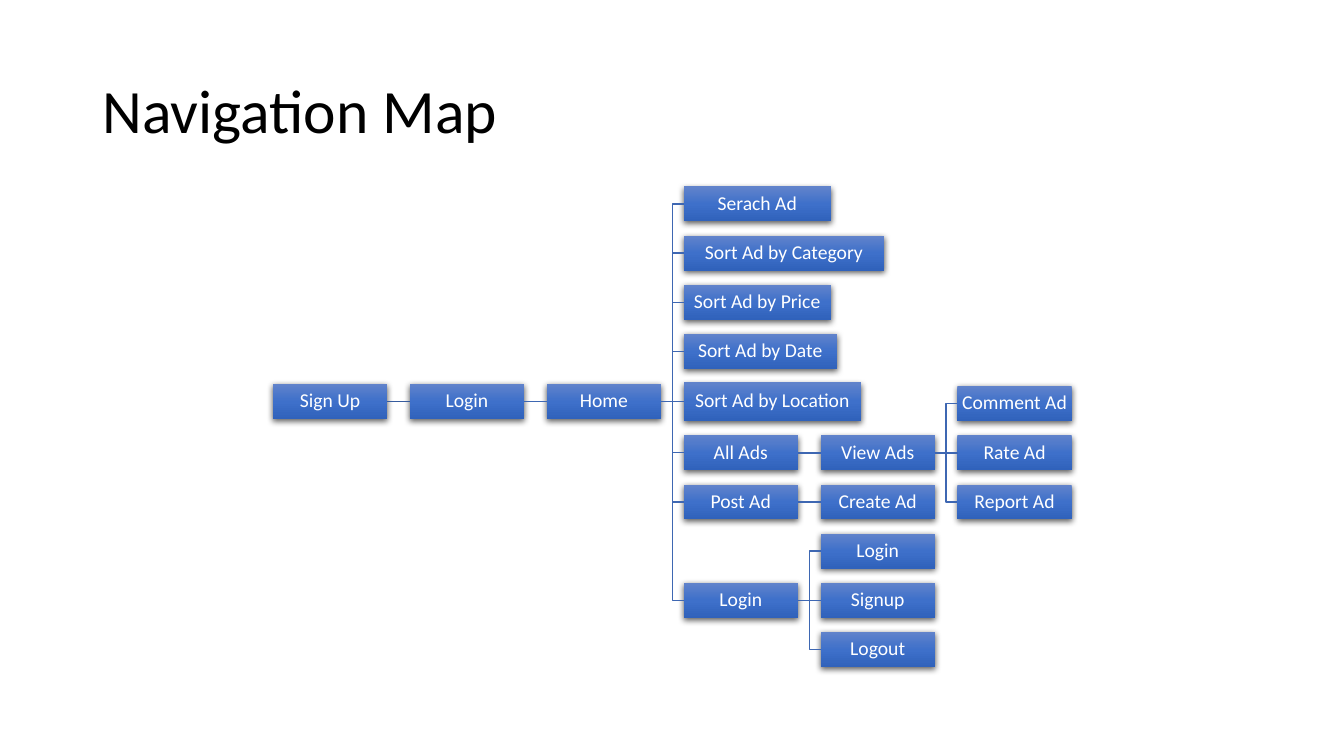
import pptx
import pptx.dml.color
import pptx.enum.shapes
import pptx.enum.text
import pptx.oxml
import pptx.oxml.ns
import pptx.util

Cm = pptx.util.Cm
Pt = pptx.util.Pt
NS = pptx.oxml.ns.nsdecls("a")

LEFT, COL_STEP, ROW_STEP = 6.88, 3.45, 1.24
BOX_W, BOX_H = 2.88, 0.88
MIDDLE = 10.12
UPPER = [5.14 + ROW_STEP * i for i in range(4)]
LOWER = [10.17 + ROW_STEP * i for i in range(6)]


def rgb(value):
    return pptx.dml.color.RGBColor.from_string(value)


def node(text, y, *children, w=BOX_W, h=BOX_H, link="3E67B2"):
    return {"text": text, "y": y, "w": w, "h": h, "link": link, "children": children}


class NavigationSlide:
    """Holds the style and the current slide, and draws titles, boxes and links."""

    FONT = "Calibri"
    STOPS = [(0, "6183CB"), (50, "3E70CA"), (100, "3062BB")]
    SHADOW = (
        f'<a:effectLst {NS}><a:outerShdw blurRad="57150" dist="19050" dir="5400000" '
        'algn="ctr" rotWithShape="0"><a:srgbClr val="000000"><a:alpha val="63000"/>'
        "</a:srgbClr></a:outerShdw></a:effectLst>"
    )

    def __init__(self, prs):
        self.s = prs.slides.add_slide(prs.slide_layouts[5])

    def set_text(self, sp, text, size, color, frame, para):
        tf = sp.text_frame
        for name, value in frame.items():
            setattr(tf, name, value)
        p = tf.paragraphs[0]
        for name, value in para.items():
            setattr(p, name, value)
        r = p.add_run()
        r.text = text
        for name, value in {"name": self.FONT, "size": Pt(size)}.items():
            setattr(r.font, name, value)
        r.font.color.rgb = rgb(color)

    def title(self, text, left, top, width, height):
        sp = self.s.shapes.title
        place = {"left": left, "top": top, "width": width, "height": height}
        for name, value in place.items():
            setattr(sp, name, Cm(value))
        self.set_text(
            sp, text, 44, "000000",
            {"vertical_anchor": pptx.enum.text.MSO_ANCHOR.MIDDLE, "word_wrap": True},
            {"alignment": pptx.enum.text.PP_ALIGN.LEFT, "line_spacing": 0.9},
        )

    def box(self, text, left, middle, width, height):
        sp = self.s.shapes.add_shape(
            pptx.enum.shapes.MSO_SHAPE.RECTANGLE,
            Cm(left), Cm(middle - height / 2), Cm(width), Cm(height),
        )
        stops = "".join(
            f'<a:gs pos="{pos * 1000}"><a:srgbClr val="{color}"/></a:gs>'
            for pos, color in self.STOPS
        )
        gradient = (
            f'<a:gradFill {NS} rotWithShape="1"><a:gsLst>{stops}</a:gsLst>'
            '<a:lin ang="5400000" scaled="0"/></a:gradFill>'
        )
        for xml in (gradient, self.SHADOW):
            sp._element.spPr.append(pptx.oxml.parse_xml(xml))
        sp.line.fill.background()
        sides = ("left", "top", "right", "bottom")
        frame = {f"margin_{side}": Cm(0.02) for side in sides}
        frame["vertical_anchor"] = pptx.enum.text.MSO_ANCHOR.MIDDLE
        frame["word_wrap"] = True
        self.set_text(
            sp, text, 14, "FFFFFF", frame,
            {
                "alignment": pptx.enum.text.PP_ALIGN.CENTER,
                "line_spacing": 0.9,
                "space_after": Pt(5),
            },
        )
        return sp

    def link(self, start, end, straight, color):
        kinds = pptx.enum.shapes.MSO_CONNECTOR
        kind = kinds.STRAIGHT if straight else kinds.ELBOW
        line = self.s.shapes.add_connector(kind, 0, 0, 0, 0)
        line.begin_connect(start, 3)
        line.end_connect(end, 1)
        line.line.color.rgb = rgb(color)
        line.line.width = Pt(1)
        line._element.spPr.append(pptx.oxml.parse_xml(f"<a:effectLst {NS}/>"))

    def tree(self, item, column=0):
        sp = self.box(
            item["text"], LEFT + COL_STEP * column, item["y"], item["w"], item["h"]
        )
        for child in item["children"]:
            end = self.tree(child, column + 1)
            self.link(sp, end, child["y"] == item["y"], child["link"])
        return sp


def main():
    prs = pptx.Presentation()
    prs.slide_width, prs.slide_height = Cm(33.87), Cm(19.05)
    slide = NavigationSlide(prs)
    slide.title("Navigation Map", 2.33, 1.01, 29.21, 3.68)

    view_ads = node(
        "View Ads", LOWER[1],
        node("Comment Ad", LOWER[0]),
        node("Rate Ad", LOWER[1]),
        node("Report Ad", LOWER[2]),
    )
    account = node(
        "Login", LOWER[4],
        node("Login", LOWER[3]),
        node("Signup", LOWER[4]),
        node("Logout", LOWER[5]),
    )
    home = node(
        "Home", MIDDLE,
        node("Serach Ad", UPPER[0], w=3.71),
        node("Sort Ad by Category", UPPER[1], w=5.06),
        node("Sort Ad by Price", UPPER[2], w=3.71),
        node("Sort Ad by Date", UPPER[3], w=3.86),
        node("Sort Ad by Location", MIDDLE, w=4.47, h=0.97),
        node("All Ads", LOWER[1], view_ads),
        node("Post Ad", LOWER[2], node("Create Ad", LOWER[2])),
        account,
    )
    login = node("Login", MIDDLE, home, link="365B9D")
    slide.tree(node("Sign Up", MIDDLE, login))
    prs.save("out.pptx")


if __name__ == "__main__":
    main()
